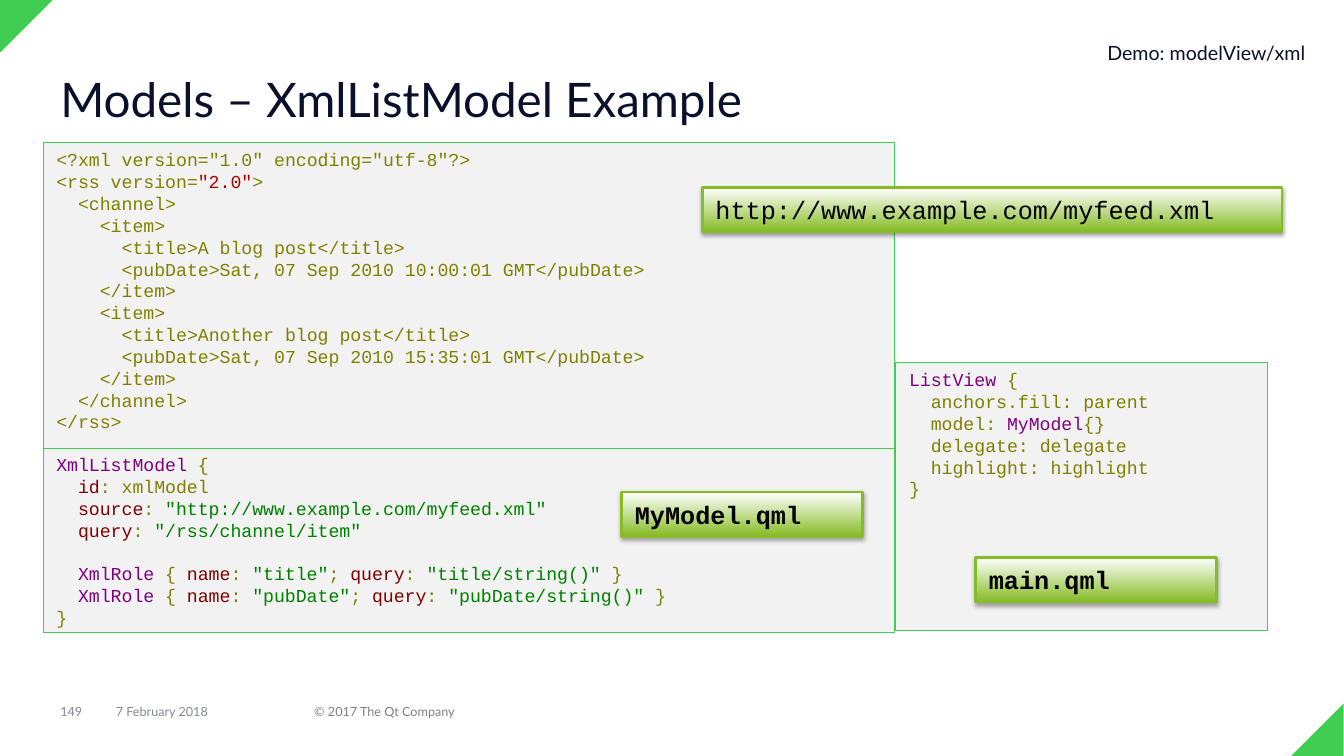
from collections import namedtuple

from lxml.etree import SubElement
from pptx import Presentation
from pptx.dml.color import RGBColor
from pptx.enum.shapes import MSO_SHAPE
from pptx.enum.text import MSO_ANCHOR, MSO_AUTO_SIZE, PP_ALIGN
from pptx.oxml.ns import qn
from pptx.util import Cm, Pt

BRIGHT_GREEN = RGBColor(0x41, 0xCD, 0x52)
LABEL_GREEN = RGBColor(0x86, 0xBC, 0x25)
WHITE = RGBColor(0xFF, 0xFF, 0xFF)
BLACK = RGBColor(0x00, 0x00, 0x00)
PANEL_GREY = RGBColor(0xF2, 0xF2, 0xF2)
NAVY = RGBColor(0x09, 0x10, 0x2B)
FOOTER_BLUE = RGBColor(0x84, 0x88, 0x95)
FOOTER_GREY = RGBColor(0x80, 0x80, 0x80)
# Syntax colours
TYPE = RGBColor(0x80, 0x00, 0x80)
PLAIN = RGBColor(0x80, 0x80, 0x00)
PROPERTY = RGBColor(0x80, 0x00, 0x00)
STRING = RGBColor(0x00, 0x80, 0x00)
NUMBER = RGBColor(0xAA, 0x00, 0x00)

CODE_FONT = "Courier New"
TEXT_FONT = "Lato"
CODE_LEADING = Pt(15.6)

# All boxes are in centimetres
Box = namedtuple("Box", "left top width height")


def xml_role(name):
    return [("  XmlRole ", TYPE), ("{ ", PLAIN), ("name", PROPERTY), (": ", PLAIN),
            (f'"{name}"', STRING), ("; ", PLAIN), ("query", PROPERTY), (": ", PLAIN),
            (f'"{name}/string()" ', STRING), ("}", PLAIN)]


# A code line is a list of (text, colour); None is an empty line
FEED_CODE = [
    [('<?xml version="1.0" encoding="utf-8"?>', PLAIN)],
    [("<rss version=", PLAIN), ('"2.0"', NUMBER), (">", PLAIN)],
    *([(line, PLAIN)] for line in (
        "  <channel>",
        "    <item>",
        "      <title>A blog post</title>",
        "      <pubDate>Sat, 07 Sep 2010 10:00:01 GMT</pubDate>",
        "    </item>",
        "    <item>",
        "      <title>Another blog post</title>",
        "      <pubDate>Sat, 07 Sep 2010 15:35:01 GMT</pubDate>",
        "    </item>",
        "  </channel>",
        "</rss>")),
]
MODEL_CODE = [
    [("XmlListModel ", TYPE), ("{", PLAIN)],
    [("  id", PROPERTY), (": xmlModel", PLAIN)],
    [("  source", PROPERTY), (": ", PLAIN), ('"http://www.example.com/myfeed.xml"', STRING)],
    [("  query", PROPERTY), (": ", PLAIN), ('"/rss/channel/item"', STRING)],
    None,
    xml_role("title"),
    xml_role("pubDate"),
    [("}", PLAIN)],
]
VIEW_CODE = [
    [("ListView ", TYPE), ("{", PLAIN)],
    [("  anchors.fill: parent", PLAIN)],
    [("  model: ", PLAIN), ("MyModel", TYPE), ("{}", PLAIN)],
    [("  delegate: delegate", PLAIN)],
    [("  highlight: highlight", PLAIN)],
    [("}", PLAIN)],
]


def lengths(box):
    return [Cm(value) for value in box]


def set_frame(frame, anchor, inset_x=0, inset_y=0):
    frame.word_wrap = True
    frame.auto_size = MSO_AUTO_SIZE.NONE
    frame.vertical_anchor = anchor
    frame.margin_left = frame.margin_right = Cm(inset_x)
    frame.margin_top = frame.margin_bottom = Cm(inset_y)


def add_run(paragraph, text, font, size, color, bold=False):
    run = paragraph.add_run()
    run.text = text
    run.font.name = font
    run.font.size = Pt(size)
    run.font.bold = bold
    run.font.color.rgb = color


def add_corner(slide, box, rotation):
    corner = slide.shapes.add_shape(MSO_SHAPE.RIGHT_TRIANGLE, *lengths(box))
    corner.rotation = rotation
    corner.shadow.inherit = False
    corner.fill.solid()
    corner.fill.fore_color.rgb = BRIGHT_GREEN
    corner.line.fill.background()


def add_title(slide, box, text):
    title = slide.shapes.title
    title.left, title.top, title.width, title.height = lengths(box)
    set_frame(title.text_frame, MSO_ANCHOR.TOP)
    heading = title.text_frame.paragraphs[0]
    heading.alignment = PP_ALIGN.LEFT
    heading.line_spacing = 0.9
    add_run(heading, text, TEXT_FONT, 34, NAVY)


def add_demo_note(slide, box, text):
    note = slide.shapes.add_textbox(*lengths(box))
    set_frame(note.text_frame, MSO_ANCHOR.TOP, 0.25, 0.13)
    line = note.text_frame.paragraphs[0]
    line.alignment = PP_ALIGN.RIGHT
    add_run(line, text, TEXT_FONT, 14, NAVY)


def add_code_panel(slide, box, code):
    panel = slide.shapes.add_shape(MSO_SHAPE.RECTANGLE, *lengths(box))
    panel.shadow.inherit = False
    panel.fill.solid()
    panel.fill.fore_color.rgb = PANEL_GREY
    panel.line.color.rgb = BRIGHT_GREEN
    panel.line.width = Pt(0.75)
    frame = panel.text_frame
    set_frame(frame, MSO_ANCHOR.TOP, 0.33, 0.15)
    for number, parts in enumerate(code):
        if parts is None:
            continue
        line = frame.add_paragraph() if number else frame.paragraphs[0]
        line.alignment = PP_ALIGN.LEFT
        line.line_spacing = CODE_LEADING
        if number and code[number - 1] is None:
            line.space_before = CODE_LEADING
        for text, color in parts:
            add_run(line, text, CODE_FONT, 13, color)


def add_file_label(slide, box, text, bold):
    label = slide.shapes.add_shape(MSO_SHAPE.RECTANGLE, *lengths(box))
    label.fill.gradient()
    label.fill.gradient_angle = 90
    for stop, color in zip(label.fill.gradient_stops, (LABEL_GREEN, WHITE)):
        stop.color.rgb = color
    label.line.color.rgb = LABEL_GREEN
    label.line.width = Pt(2)
    # Soft shadow below the label
    label.shadow.inherit = False
    effects = label.element.spPr.find(qn("a:effectLst"))
    shadow = SubElement(effects, qn("a:outerShdw"), blurRad=str(Pt(3.1)),
                        dist=str(Pt(1.8)), dir="5400000", rotWithShape="0")
    shade = SubElement(shadow, qn("a:srgbClr"), val=str(BLACK))
    SubElement(shade, qn("a:alpha"), val="35000")
    set_frame(label.text_frame, MSO_ANCHOR.MIDDLE, 0.33, 0.15)
    line = label.text_frame.paragraphs[0]
    line.alignment = PP_ALIGN.LEFT
    add_run(line, text, CODE_FONT, 18, BLACK, bold)


def add_code_file(slide, box, code, name, label_box, bold=True):
    """Place a code panel and its file label, offset from the panel's corner."""
    add_code_panel(slide, box, code)
    label = label_box._replace(left=box.left + label_box.left, top=box.top + label_box.top)
    add_file_label(slide, label, name, bold)


def add_footer(slide, box):
    entries = [(0, 1.4, "149", FOOTER_BLUE),
               (1.4, 5, "7 February 2018", FOOTER_BLUE),
               (6.4, box.width - 6.4, "© 2017 The Qt Company", FOOTER_GREY)]
    for offset, width, text, color in entries:
        place = Box(box.left + offset, box.top, width, box.height)
        entry = slide.shapes.add_textbox(*lengths(place))
        set_frame(entry.text_frame, MSO_ANCHOR.MIDDLE)
        add_run(entry.text_frame.paragraphs[0], text, TEXT_FONT, 9, color)


def main():
    deck = Presentation()
    deck.slide_width, deck.slide_height = Cm(33.87), Cm(19.05)
    slide = deck.slides.add_slide(deck.slide_layouts[5])

    # Corner decoration
    add_corner(slide, Box(-0.03, 0, 1.36, 1.36), 90)
    add_corner(slide, Box(32.54, 17.73, 1.32, 1.32), 270)

    # Heading
    add_title(slide, Box(1.52, 1.93, 30.81, 2.59), "Models – XmlListModel Example")
    add_demo_note(slide, Box(22.94, 0.91, 10.21, 0.86), "Demo: modelView/xml")

    # Code files
    add_code_file(slide, Box(22.58, 9.14, 9.37, 6.76), VIEW_CODE,
                  "main.qml", Box(2.01, 4.91, 6.07, 1.12))
    add_code_file(slide, Box(1.09, 11.28, 21.46, 4.65), MODEL_CODE,
                  "MyModel.qml", Box(14.58, 1.12, 6.07, 1.12))
    add_code_file(slide, Box(1.09, 3.6, 21.46, 7.7), FEED_CODE,
                  "http://www.example.com/myfeed.xml", Box(16.61, 1.12, 14.61, 1.12), bold=False)

    add_footer(slide, Box(1.52, 17.73, 30.81, 0.41))
    deck.save("out.pptx")


if __name__ == "__main__":
    main()
